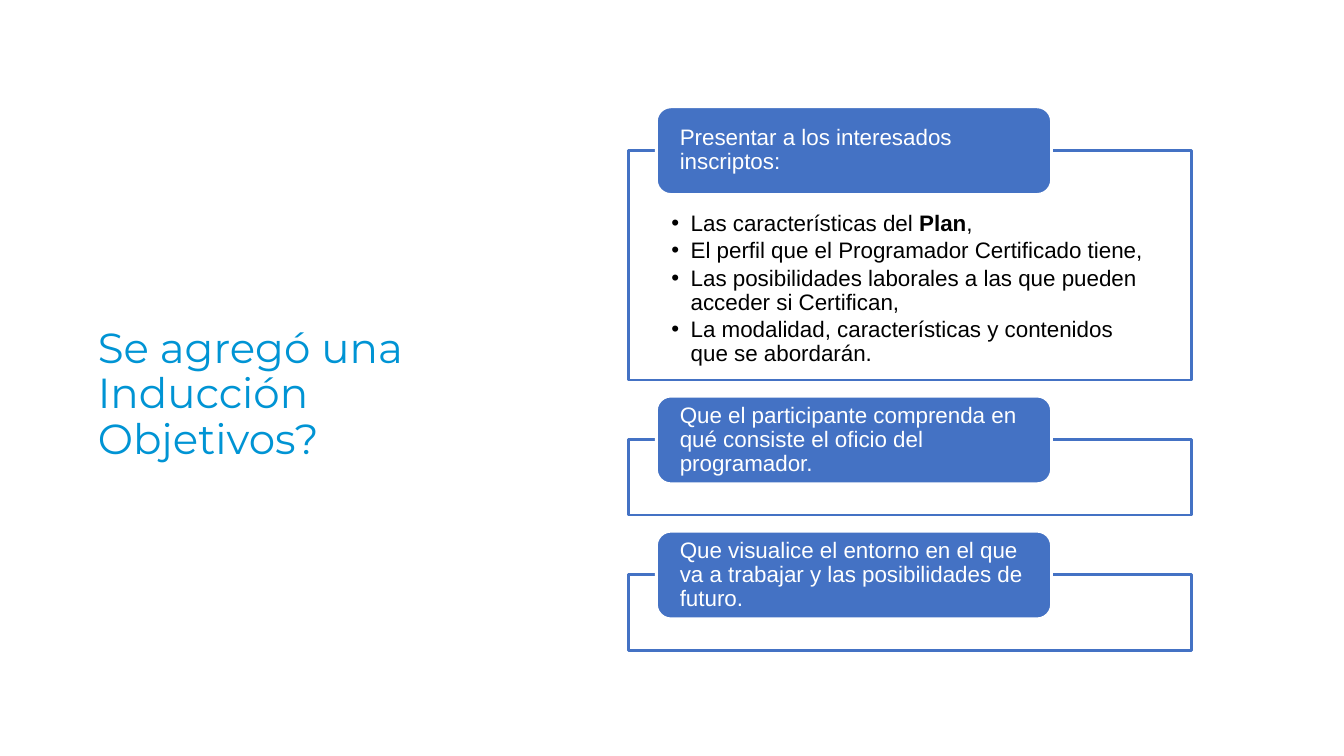
import pptx
import pptx.util
import pptx.dml.color
import pptx.enum.shapes
import pptx.enum.text
import pptx.oxml.ns
from lxml import etree

Inches = pptx.util.Inches
Pt = pptx.util.Pt
SHAPE = pptx.enum.shapes.MSO_SHAPE
ANCHOR = pptx.enum.text.MSO_ANCHOR

COLORS = {"blue": "4472C4", "title": "0094D4", "white": "FFFFFF", "black": "000000"}

FRAME_LEFT, FRAME_WIDTH, FIRST_TOP, GAP = 6.23, 5.59, 1.49, 0.59
LABEL_LEFT, LABEL_WIDTH, LABEL_HEIGHT, LABEL_RISE = 6.51, 3.92, 0.87, 0.43

OBJECTIVES = [
    ("Presentar a los interesados inscriptos:", 2.28, [
        [("Las características del ", False), ("Plan", True), (",", False)],
        [("El perfil que el Programador Certificado tiene,", False)],
        [("Las posibilidades laborales a las que pueden acceder si Certifican,", False)],
        [("La modalidad, características y contenidos que se abordarán.", False)],
    ]),
    ("Que el participante comprenda en qué consiste el oficio del programador.", 0.75, []),
    ("Que visualice el entorno en el que va a trabajar y las posibilidades de futuro.", 0.75, []),
]


def rgb(name):
    return pptx.dml.color.RGBColor.from_string(COLORS[name])


def add_text(p, text, size=16, font="Arial", color="black", bold=False):
    p.alignment = pptx.enum.text.PP_ALIGN.LEFT
    p.line_spacing = 0.9
    for i, line in enumerate(text.split("\n")):
        if i:
            p.add_line_break()
        r = p.add_run()
        r.text = line
        r.font.size = Pt(size)
        r.font.name = font
        r.font.bold = bold
        r.font.color.rgb = rgb(color)


def set_frame(tf, anchor, insets):
    tf.word_wrap = True
    tf.auto_size = pptx.enum.text.MSO_AUTO_SIZE.NONE
    tf.vertical_anchor = anchor
    tf.margin_left, tf.margin_top, tf.margin_right, tf.margin_bottom = map(Inches, insets)


def set_bullet(p):
    pPr = p._p.get_or_add_pPr()
    pPr.set("marL", str(Inches(0.19)))
    pPr.set("indent", str(-Inches(0.19)))
    bullet_font = etree.SubElement(pPr, pptx.oxml.ns.qn("a:buFont"))
    bullet_font.set("typeface", "Arial")
    bullet = etree.SubElement(pPr, pptx.oxml.ns.qn("a:buChar"))
    bullet.set("char", "•")


def add_box(s, kind, left, top, width, height, fill, line):
    sp = s.shapes.add_shape(kind, Inches(left), Inches(top), Inches(width), Inches(height))
    sp.shadow.inherit = False
    sp.fill.solid()
    sp.fill.fore_color.rgb = rgb(fill)
    sp.line.color.rgb = rgb(line)
    sp.line.width = Pt(2)
    return sp


def add_objective(s, top, label, height, items):
    sp = add_box(s, SHAPE.RECTANGLE, FRAME_LEFT, top, FRAME_WIDTH, height, "white", "blue")
    tf = sp.text_frame
    set_frame(tf, ANCHOR.TOP, (0.43, 0.61, 0.43, 0.12))
    for i, runs in enumerate(items):
        p = tf.add_paragraph() if i else tf.paragraphs[0]
        set_bullet(p)
        p.space_after = Pt(2.4)
        for text, bold in runs:
            add_text(p, text, bold=bold)

    sp = add_box(s, SHAPE.ROUNDED_RECTANGLE, LABEL_LEFT, top - LABEL_RISE,
                 LABEL_WIDTH, LABEL_HEIGHT, "blue", "white")
    set_frame(sp.text_frame, ANCHOR.MIDDLE, (0.19, 0, 0.19, 0))
    add_text(sp.text_frame.paragraphs[0], label, color="white")


def add_title(s, text):
    sp = s.shapes.title
    sp.left, sp.top, sp.width, sp.height = map(Inches, (0.87, 2.38, 4, 3.08))
    set_frame(sp.text_frame, ANCHOR.MIDDLE, (0.1, 0.05, 0.1, 0.05))
    add_text(sp.text_frame.paragraphs[0], text, size=30, font="Montserrat", color="title")


def main():
    prs = pptx.Presentation()
    prs.slide_width = Inches(13.33)
    prs.slide_height = Inches(7.5)
    s = prs.slides.add_slide(prs.slide_layouts[5])
    add_title(s, "Se agregó una\nInducción\nObjetivos?")
    top = FIRST_TOP
    for label, height, items in OBJECTIVES:
        add_objective(s, top, label, height, items)
        top += height + GAP
    prs.save("out.pptx")


if __name__ == "__main__":
    main()
